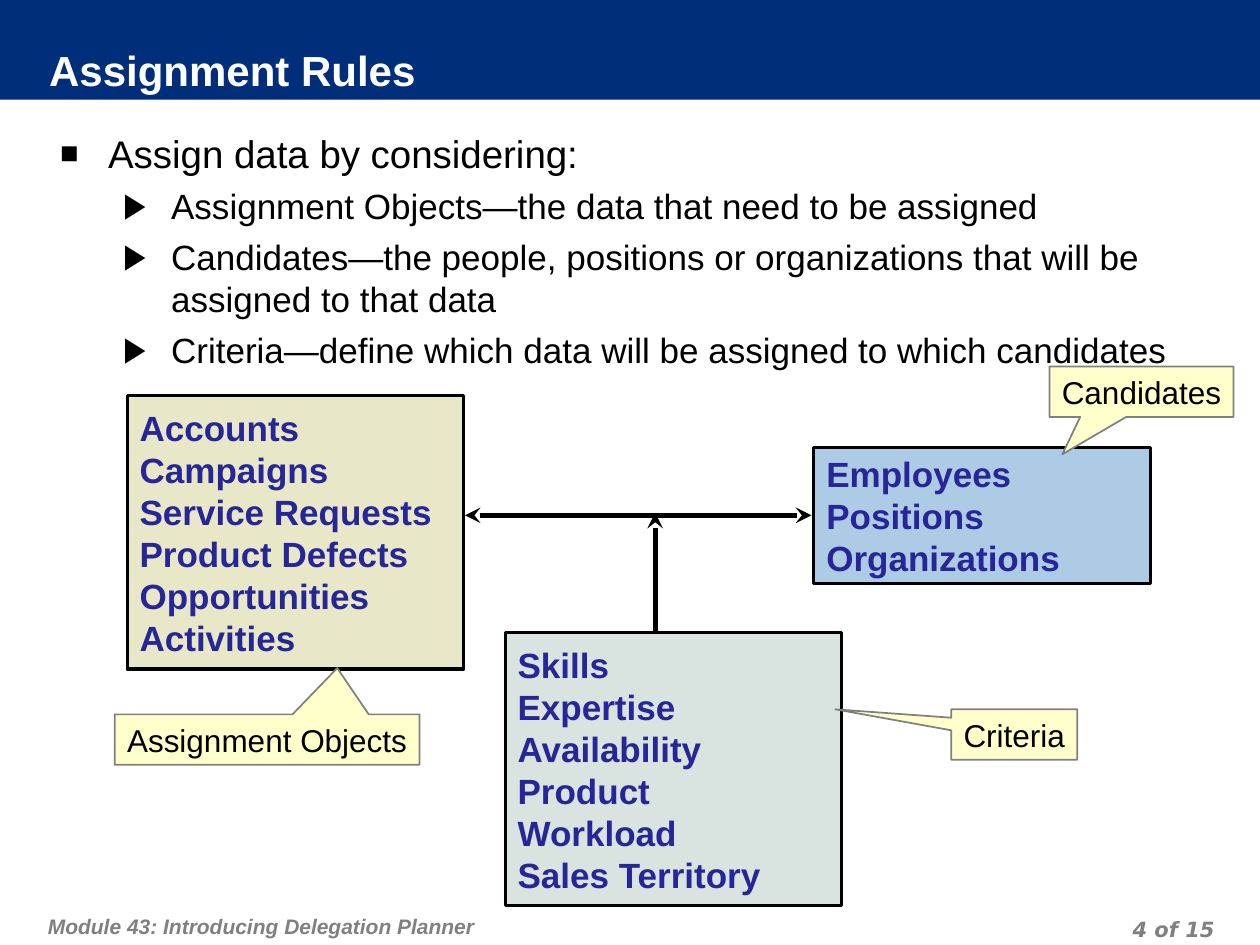
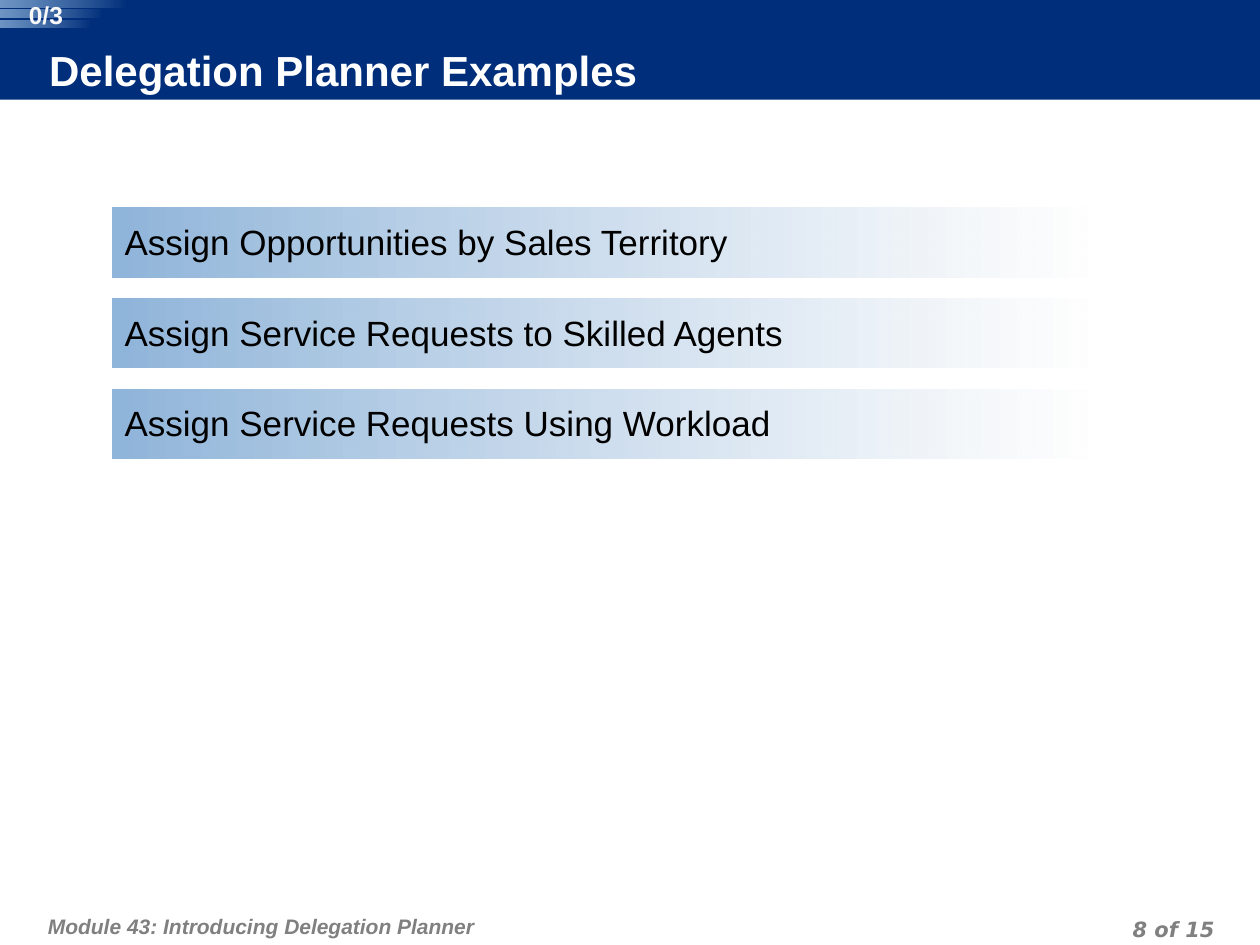
from dataclasses import dataclass

from pptx import Presentation
from pptx.dml.color import RGBColor
from pptx.enum.shapes import MSO_CONNECTOR as Connector, MSO_SHAPE as Shape
from pptx.enum.text import MSO_ANCHOR as Anchor, PP_ALIGN as Align
from pptx.oxml.ns import qn
from pptx.util import Inches, Pt
from lxml.etree import SubElement


@dataclass(frozen=True)
class Theme:
    font: str = "Arial"
    number_font: str = "DejaVu Sans"
    navy: str = "002E7A"
    white: str = "FFFFFF"
    black: str = "000000"
    grey: str = "808080"
    indigo: str = "262698"
    sky: str = "AECBE6"
    mist: str = "D9E3E0"
    sand: str = "E8E8C9"
    note: str = "FFFFCC"
    bar: str = "90B5DA"
    fade: str = "FEFEFE"
    counter: str = "F8F8F8"
    title_size: int = 24
    lead_size: int = 22
    text_size: int = 20
    note_size: int = 18
    counter_size: int = 14
    footer_size: int = 12


THEME = Theme()
FOOTER = "Module 43: Introducing Delegation Planner"
PAGE_COUNT = 15


def color(code):
    return RGBColor.from_string(code)


def write(shape, lines, size, ink, font=THEME.font, bold=False, italic=False,
          align=Align.LEFT, anchor=Anchor.TOP, margins=(0.1, 0.05, 0.1, 0.05),
          wrap=True):
    """Fill a shape with one paragraph per line, all in one style."""
    frame = shape.text_frame
    frame.word_wrap = wrap
    frame.vertical_anchor = anchor
    (frame.margin_left, frame.margin_top,
     frame.margin_right, frame.margin_bottom) = map(Inches, margins)
    frame.text = "\n".join(lines)
    for para in frame.paragraphs:
        para.alignment = align
        for span in para.runs:
            span.font.name = font
            span.font.size = Pt(size)
            span.font.bold = bold
            span.font.italic = italic
            span.font.color.rgb = color(ink)
    return frame.paragraphs


def add_block(shapes, place, fill=None, line=None, width=1, kind=Shape.RECTANGLE):
    """Add a preset shape with a flat look."""
    block = shapes.add_shape(kind, *map(Inches, place))
    block.shadow.inherit = False
    if fill:
        block.fill.solid()
        block.fill.fore_color.rgb = color(fill)
    if line:
        block.line.color.rgb = color(line)
        block.line.width = Pt(width)
    else:
        block.line.fill.background()
    return block


def add_fading_block(shapes, place, right, left):
    """Add a block whose gradient runs from right to left; ends are (colour, opacity)."""
    block = add_block(shapes, place)
    block.fill.gradient()
    block.fill.gradient_angle = 180
    for stop, position, (code, _) in zip(block.fill.gradient_stops, (0, 1), (right, left)):
        stop.position = position
        stop.color.rgb = color(code)
    tints = block.fill._xPr.iter(qn("a:srgbClr"))
    for tint, (_, opacity) in zip(tints, (right, left)):
        SubElement(tint, qn("a:alpha"), val=str(opacity * 1000))
    return block


def add_text(shapes, place, lines, size, ink, **style):
    box = shapes.add_textbox(*map(Inches, place))
    return write(box, lines, size, ink, **style)


def add_page(deck, title, number):
    """Start a slide with the title band and the footer."""
    page = deck.slides.add_slide(deck.slide_layouts[6])
    shapes = page.shapes
    add_block(shapes, (0, 0, 10, 0.79), THEME.navy)
    add_text(shapes, (0.39, 0.38, 9.17, 0.4), [title], THEME.title_size, THEME.white,
             bold=True, anchor=Anchor.MIDDLE, margins=(0, 0, 0.05, 0.05))
    footers = (
        ((0.33, 7.1, 6.18, 0.4), FOOTER, THEME.font, Align.LEFT, (0.05, 0.1, 0.05, 0.05)),
        ((7.36, 7.22, 2.33, 0.25), f"{number} of {PAGE_COUNT}", THEME.number_font,
         Align.RIGHT, (0.05, 0, 0.05, 0)),
    )
    for place, text, font, align, margins in footers:
        paras = add_text(shapes, place, [text], THEME.footer_size, THEME.grey, font=font,
                         bold=True, italic=True, align=align, margins=margins)
        paras[0].line_spacing = Pt(18)
    return page


def set_bullet(para, mark, indent, percent=100):
    props = para._p.get_or_add_pPr()
    props.set("marL", str(Inches(indent)))
    props.set("indent", str(-Inches(0.38)))
    tint = SubElement(props, qn("a:buClr"))
    SubElement(tint, qn("a:srgbClr"), val=THEME.black)
    SubElement(props, qn("a:buSzPct"), val=str(percent * 1000))
    SubElement(props, qn("a:buFont"), typeface=THEME.font)
    SubElement(props, qn("a:buChar"), char=mark)


def add_bullets(shapes, place, lead, points):
    first, *rest = add_text(shapes, place, [lead, *points], THEME.text_size, THEME.black,
                            margins=(0.1, 0.1, 0.1, 0.05))
    set_bullet(first, "■", 0.38, percent=80)
    first.runs[0].font.size = Pt(THEME.lead_size)
    for para in rest:
        para.level = 1
        set_bullet(para, "▶", 0.88)
        para.space_before = Pt(5)


def add_card(shapes, place, fill, items):
    card = add_block(shapes, place, fill, THEME.black, 1.75)
    write(card, items, THEME.text_size, THEME.indigo, bold=True, anchor=Anchor.MIDDLE)


def add_callout(shapes, place, pointer, label):
    callout = add_block(shapes, place, THEME.note, THEME.grey,
                        kind=Shape.RECTANGULAR_CALLOUT)
    for index, offset in enumerate(pointer):
        callout.adjustments[index] = offset
    write(callout, [label], THEME.note_size, THEME.black, align=Align.CENTER, wrap=False)


def add_arrow(shapes, start, end, both_ends=False):
    arrow = shapes.add_connector(Connector.STRAIGHT, *map(Inches, start + end))
    arrow.line.color.rgb = color(THEME.black)
    arrow.line.width = Pt(3)
    outline = arrow.line._get_or_add_ln()
    for tip in ("a:headEnd", "a:tailEnd") if both_ends else ("a:tailEnd",):
        SubElement(outline, qn(tip), type="stealth")
    SubElement(arrow._element.spPr, qn("a:effectLst"))


def add_counter(shapes, text):
    """Add the striped step counter in the top left corner."""
    group = shapes.add_group_shape().shapes
    for row, width in enumerate((1.01, 0.82, 0.73)):
        add_fading_block(group, (0, row * 0.08, width, 0.06),
                         (THEME.navy, 100), (THEME.bar, 76))
    add_text(group, (0.11, 0, 0.51, 0.23), [text], THEME.counter_size, THEME.counter,
             bold=True, align=Align.CENTER, margins=(0, 0, 0, 0))


def build_rules(deck):
    shapes = add_page(deck, "Assignment Rules", 4).shapes
    add_bullets(shapes, (0.38, 0.93, 9.3, 6.18), "Assign data by considering:", [
        "Assignment Objects—the data that need to be assigned",
        "Candidates—the people, positions or organizations that will be "
        "assigned to that data",
        "Criteria—define which data will be assigned to which candidates",
    ])

    # Cards
    add_card(shapes, (6.46, 3.55, 2.67, 1.08), THEME.sky,
             ["Employees", "Positions", "Organizations"])
    add_card(shapes, (4.01, 5.02, 2.67, 2.17), THEME.mist,
             ["Skills", "Expertise", "Availability", "Product", "Workload",
              "Sales Territory"])
    add_card(shapes, (1.01, 3.14, 2.67, 2.17), THEME.sand,
             ["Accounts", "Campaigns", "Service Requests", "Product Defects",
              "Opportunities", "Activities"])

    # Callouts
    add_callout(shapes, (7.55, 5.63, 1, 0.4), (-1.42, -0.5), "Criteria")
    add_callout(shapes, (0.91, 5.67, 2.42, 0.4), (0.23, -1.42), "Assignment Objects")
    add_callout(shapes, (8.33, 2.91, 1.46, 0.4), (-0.43, 1.24), "Candidates")

    # Arrows
    add_arrow(shapes, (3.69, 4.09), (6.44, 4.09), both_ends=True)
    add_arrow(shapes, (5.2, 5.02), (5.2, 4.07))


def build_examples(deck):
    shapes = add_page(deck, "Delegation Planner Examples", 8).shapes
    examples = (
        "Assign Opportunities by Sales Territory",
        "Assign Service Requests to Skilled Agents",
        "Assign Service Requests Using Workload",
    )
    for row, example in enumerate(examples):
        bar = add_fading_block(shapes, (0.89, 1.65 + row * 0.72, 7.74, 0.55),
                               (THEME.fade, 75), (THEME.bar, 100))
        write(bar, [example], THEME.text_size, THEME.black, margins=(0.1, 0.1, 0.1, 0.05))
    add_counter(shapes, "0/3")


def main():
    deck = Presentation()
    deck.slide_width, deck.slide_height = Inches(10), Inches(7.5)
    build_rules(deck)
    build_examples(deck)
    deck.save("out.pptx")


if __name__ == "__main__":
    main()
